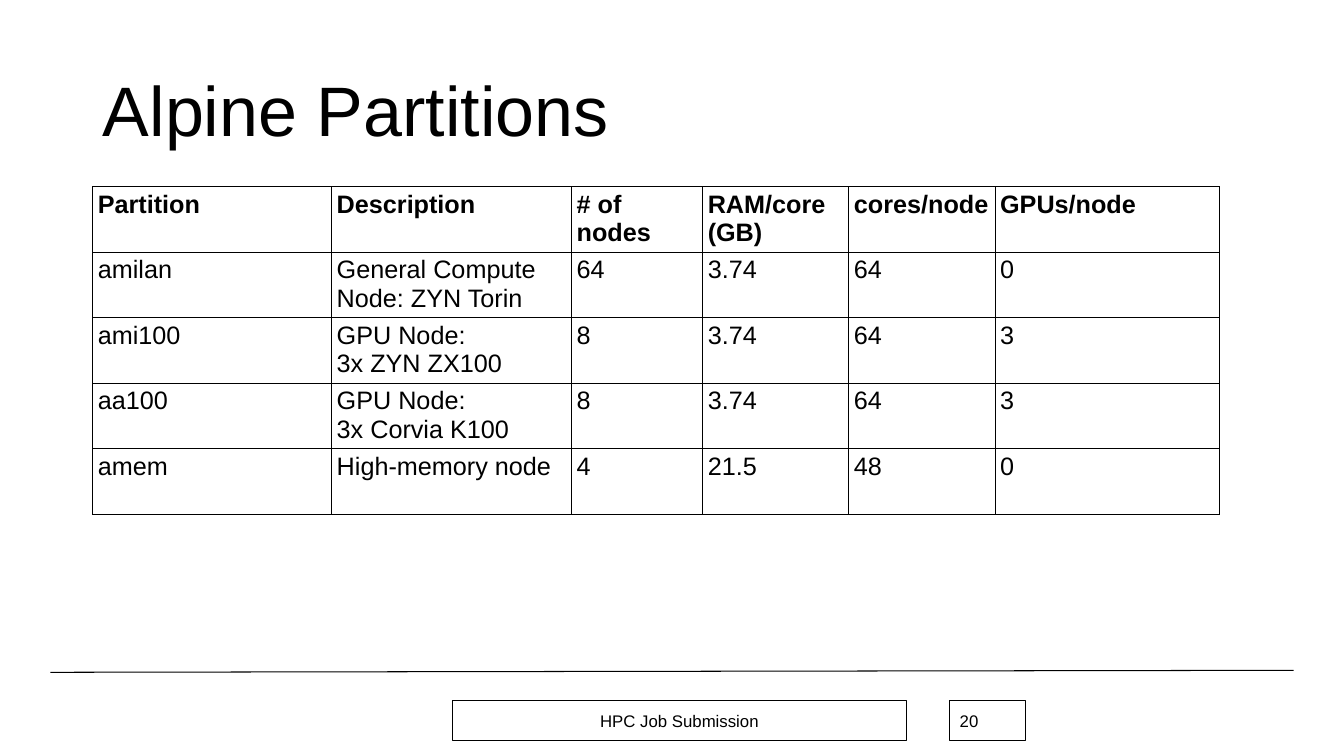
from lxml.etree import SubElement as Sub
from pptx import Presentation
from pptx.dml.color import RGBColor
from pptx.enum.shapes import MSO_CONNECTOR as Link, MSO_SHAPE as Form
from pptx.enum.text import MSO_ANCHOR as Anchor, PP_ALIGN as Align
from pptx.oxml.ns import qn
from pptx.util import Inches, Pt

BLACK = RGBColor(0, 0, 0)

WIDTHS = [2.37, 2.38, 1.3, 1.45, 1.45, 2.23]
ROWS = [
    ["Partition", "Description", "# of nodes", "RAM/core (GB)", "cores/node", "GPUs/node"],
    ["amilan", "General Compute Node: ZYN Torin", "64", "3.74", "64", "0"],
    ["ami100", "GPU Node:\n3x ZYN ZX100", "8", "3.74", "64", "3"],
    ["aa100", "GPU Node:\n3x Corvia K100", "8", "3.74", "64", "3"],
    ["amem", "High-memory node", "4", "21.5", "48", "0"],
]


class Page:
    """Holds the style and the current slide."""
    face = "Arial"
    ink = BLACK
    rule = Pt(0.75)

    def __init__(self, deck):
        self.slide = deck.slides.add_slide(deck.slide_layouts[5])
        self.shapes = self.slide.shapes

    def style(self, frame, size, align=Align.LEFT, bold=False):
        for para in frame.paragraphs:
            para.alignment = align
            font = para.font
            font.name, font.size, font.bold = self.face, Pt(size), bold
            font.color.rgb = self.ink

    def stroke(self, line):
        line.color.rgb = self.ink
        line.width = self.rule

    def title(self, text, left, top, width, height):
        box = self.shapes.title
        box.left, box.top = Inches(left), Inches(top)
        box.width, box.height = Inches(width), Inches(height)
        frame = box.text_frame
        frame.text = text
        frame.vertical_anchor = Anchor.MIDDLE
        frame.paragraphs[0].line_spacing = 0.9
        self.style(frame, 50)

    def line(self, *ends):
        link = self.shapes.add_connector(Link.STRAIGHT, *map(Inches, ends))
        self.stroke(link.line)
        Sub(link._element.spPr, qn("a:effectLst"))

    def box(self, text, left, width, align):
        shape = self.shapes.add_shape(
            Form.RECTANGLE, Inches(left), Inches(6.95), Inches(width), Inches(0.4))
        shape.shadow.inherit = False
        shape.fill.background()
        self.stroke(shape.line)
        frame = shape.text_frame
        frame.text = text
        frame.vertical_anchor = Anchor.MIDDLE
        self.style(frame, 12, align)

    def border(self, cell):
        props = cell._tc.get_or_add_tcPr()
        for side in ("lnL", "lnR", "lnT", "lnB"):
            edge = Sub(props, qn("a:" + side), w=str(self.rule))
            fill = Sub(edge, qn("a:solidFill"))
            Sub(fill, qn("a:srgbClr"), val=str(self.ink))

    def table(self, rows, widths, left, top, step):
        grid = self.shapes.add_table(
            len(rows), len(widths), Inches(left), Inches(top),
            Inches(sum(widths)), Inches(step * len(rows))).table
        grid.first_row = grid.horz_banding = False
        for col, width in zip(grid.columns, widths):
            col.width = Inches(width)
        for r, row in enumerate(rows):
            for c, text in enumerate(row):
                cell = grid.cell(r, c)
                cell.text = text
                cell.margin_left = cell.margin_right = Inches(0.05)
                cell.margin_top = cell.margin_bottom = Inches(0.04)
                self.border(cell)
                cell.fill.background()
                self.style(cell.text_frame, 18, bold=r == 0)


def main():
    deck = Presentation()
    deck.slide_width, deck.slide_height = Inches(13.33), Inches(7.5)
    page = Page(deck)

    # Heading and partition table
    page.title("Alpine Partitions", 0.92, 0.4, 11.5, 1.45)
    page.table(ROWS, WIDTHS, 0.92, 1.85, 0.65)

    # Footer
    page.line(0.5, 6.67, 12.83, 6.65)
    page.box("HPC Job Submission", 4.49, 4.5, Align.CENTER)
    page.box("20", 9.42, 0.75, Align.LEFT)

    deck.save("out.pptx")


if __name__ == "__main__":
    main()
